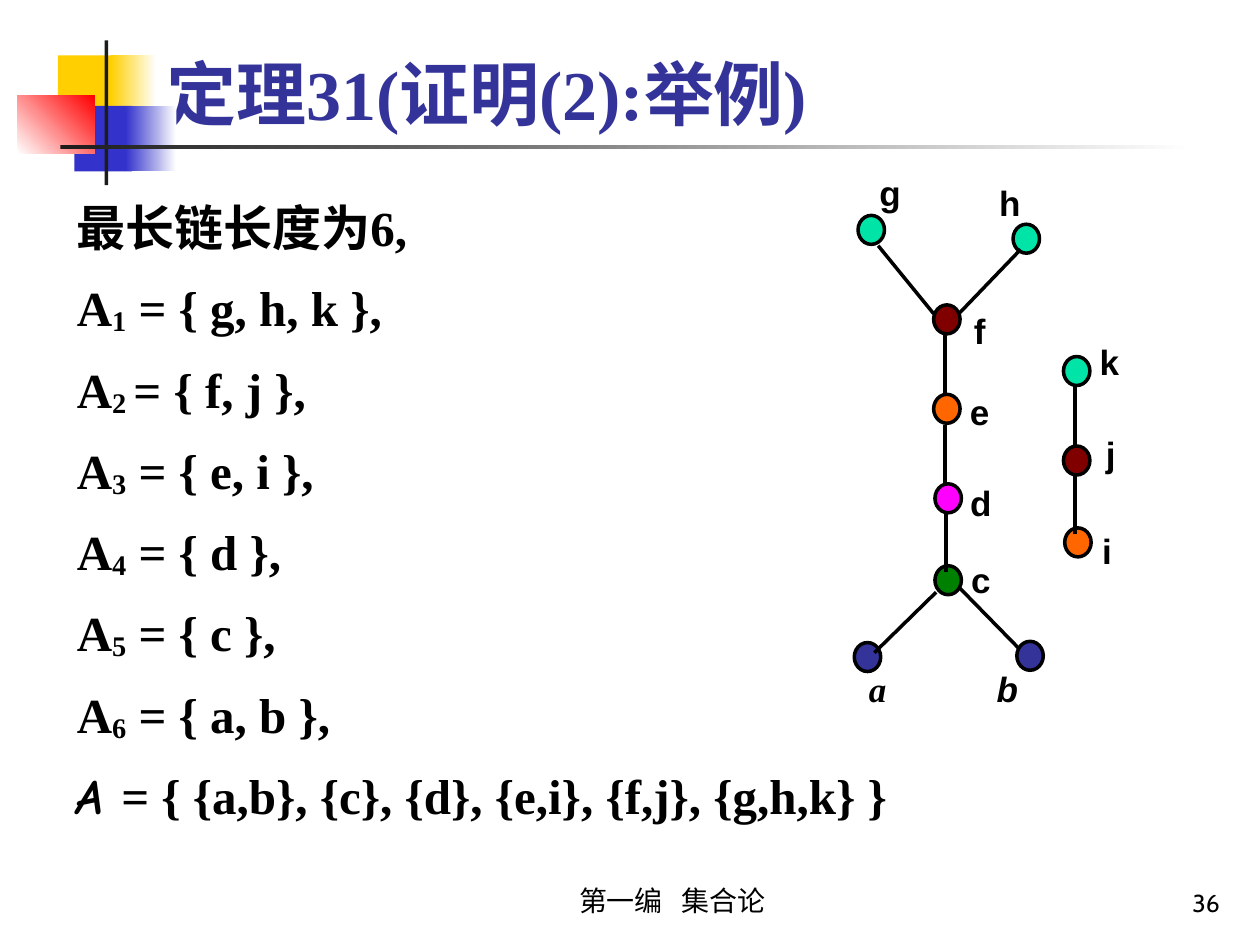
from dataclasses import dataclass

from lxml import etree
from pptx import Presentation
from pptx import util as u
from pptx.dml.color import RGBColor
from pptx.enum import shapes, text
from pptx.oxml.ns import qn


@dataclass(frozen=True)
class Theme:
    serif: str = "Times New Roman"
    sans: str = "Arial"
    script: str = "Comic Neue"
    number: str = "Cabin"
    title_size: int = 40
    body_size: int = 28
    label_size: int = 20
    footer_size: int = 16
    number_size: int = 14
    black: str = "000000"
    white: str = "FFFFFF"
    ink: str = "1C1C1C"
    yellow: str = "FFCF01"
    blue: str = "3333CC"
    red: str = "FF0000"
    navy: str = "333399"
    mint: str = "00E4A8"
    maroon: str = "800000"
    orange: str = "FF6600"
    magenta: str = "FF00FF"
    green: str = "008000"


T = Theme()

TITLE = "定理31(证明(2):举例)"
FOOTER = "第一编   集合论"
PAGE = "36"
OPENING = "最长链长度为6,"
LEVELS = [("1", " = { g, h, k },"), ("2 ", "= { f, j },"), ("3", " = { e, i },"),
          ("4", " = { d },"), ("5", " = { c },"), ("6", " = { a, b },")]
PARTITION = "= { {a,b}, {c}, {d}, {e,i}, {f,j}, {g,h,k} }"

ORNAMENTS = [
    ((0.46, 0.44, 0.48, 0.52), (T.yellow,), 0),
    ((0.88, 0.44, 0.36, 0.52), (T.yellow, T.white), 0),
    ((0.59, 0.84, 0.46, 0.52), (T.blue,), 0),
    ((1.0, 0.84, 0.4, 0.52), (T.blue, T.white), 0),
    ((0.14, 0.76, 0.61, 0.46), (T.white, T.red), 45),
    ((0.83, 0.32, 0.03, 1.15), (T.ink,), 0),
    ((0.48, 1.15, 9, 0.03), (T.ink, T.white), 0),
]

NODE_SIZE = (0.21, 0.23)
LABEL_SIZE = (0.41, 0.31)
NODES = {
    "g": ((6.81, 1.71), T.mint, (6.86, 1.31)),
    "h": ((8.04, 1.78), T.mint, (7.81, 1.39)),
    "f": ((7.41, 2.42), T.maroon, (7.57, 2.41)),
    "e": ((7.41, 3.13), T.orange, (7.57, 3.05)),
    "d": ((7.42, 3.84), T.magenta, (7.58, 3.77)),
    "c": ((7.42, 4.49), T.green, (7.58, 4.38)),
    "a": ((6.78, 5.1), T.navy, (6.76, 5.25)),
    "b": ((8.07, 5.09), T.navy, (7.79, 5.25)),
    "k": ((8.44, 2.83), T.mint, (8.6, 2.65)),
    "j": ((8.44, 3.54), T.maroon, (8.61, 3.38)),
    "i": ((8.45, 4.19), T.orange, (8.58, 4.15)),
}
MINIMAL = ("a", "b")
UPPER_ENDS = "fedkj"
DROP = (0.09, 0.24, 0.46)
BRANCHES = [((6.97, 1.95), (7.41, 2.49)), ((8.1, 1.98), (7.61, 2.49)),
            ((7.43, 4.7), (6.94, 5.18)), ((7.62, 4.67), (8.09, 5.15))]


def inches(values):
    return [u.Inches(value) for value in values]


def style(run, size, face, color=T.black, bold=False, italic=False):
    font = run.font
    font.size, font.name, font.bold, font.italic = u.Pt(size), face, bold, italic
    font.color.rgb = RGBColor.from_string(color)


def place(holder, box):
    holder.left, holder.top, holder.width, holder.height = inches(box)
    frame = holder.text_frame
    frame.word_wrap, frame.auto_size = True, text.MSO_AUTO_SIZE.NONE
    return frame


def add_text(slide, box, words, align, anchor, **look):
    frame = place(slide.shapes.add_textbox(0, 0, 0, 0), box)
    frame.text, frame.vertical_anchor = words, anchor
    frame.paragraphs[0].alignment = align
    style(frame.paragraphs[0].runs[0], **look)


def add_ornament(slide, box, colors, angle):
    block = slide.shapes.add_shape(shapes.MSO_SHAPE.RECTANGLE, *inches(box))
    block.shadow.inherit = False
    block.line.fill.background()
    if len(colors) == 1:
        block.fill.solid()
        block.fill.fore_color.rgb = RGBColor.from_string(colors[0])
        return
    block.fill.gradient()
    block.fill.gradient_angle = angle
    for stop, color, position in zip(block.fill.gradient_stops, colors, (0, 1)):
        stop.color.rgb = RGBColor.from_string(color)
        stop.position = position


def add_node(slide, corner, color):
    node = slide.shapes.add_shape(shapes.MSO_SHAPE.OVAL, *inches(corner + NODE_SIZE))
    node.shadow.inherit = False
    node.fill.solid()
    node.fill.fore_color.rgb = RGBColor.from_string(color)
    node.line.color.rgb = RGBColor.from_string(T.black)
    node.line.width = u.Pt(2)


def add_edge(slide, start, end):
    edge = slide.shapes.add_connector(shapes.MSO_CONNECTOR.STRAIGHT, *inches(start + end))
    edge.line.color.rgb = RGBColor.from_string(T.black)
    edge.line.width = u.Pt(2)
    etree.SubElement(edge._element.spPr, qn("a:effectLst"))


def fill_title(holder):
    frame = place(holder, (1.22, 0.28, 8.52, 0.84))
    frame.text, frame.vertical_anchor = TITLE, text.MSO_ANCHOR.BOTTOM
    frame.paragraphs[0].alignment = text.PP_ALIGN.LEFT
    style(frame.paragraphs[0].runs[0], T.title_size, T.serif, T.navy, bold=True)


def fill_body(holder):
    frame = place(holder, (0.51, 1.47, 9.13, 5.43))
    frame.vertical_anchor = text.MSO_ANCHOR.TOP
    lines = [[OPENING], *(["A", index, members] for index, members in LEVELS),
             ["A ", PARTITION]]
    for row, parts in enumerate(lines):
        line = frame.add_paragraph() if row else frame.paragraphs[0]
        properties = line._p.get_or_add_pPr()
        properties.set("marL", str(u.Inches(0.38)))
        properties.set("indent", str(-u.Inches(0.38)))
        etree.SubElement(properties, qn("a:buNone"))
        line.line_spacing = 1.1
        line.space_before = u.Pt(9 if row else 0)
        for column, part in enumerate(parts):
            run = line.add_run()
            run.text = part
            family = len(parts) == 2 and column == 0
            style(run, T.body_size, T.script if family else T.serif, bold=True, italic=family)
            if len(parts) == 3 and column == 1:
                run.font._element.set("baseline", "-10000")


def draw_diagram(slide):
    for corner, color, _ in NODES.values():
        add_node(slide, corner, color)
    inset, below, length = DROP
    for name in UPPER_ENDS:
        left, top = NODES[name][0]
        x, y = left + inset, top + below
        add_edge(slide, (x, y), (x, y + length))
    for start, end in BRANCHES:
        add_edge(slide, start, end)
    for name, (_, _, corner) in NODES.items():
        add_text(slide, corner + LABEL_SIZE, name, text.PP_ALIGN.CENTER, text.MSO_ANCHOR.TOP,
                 size=T.label_size, face=T.serif if name == "a" else T.sans,
                 bold=True, italic=name in MINIMAL)


def main():
    deck = Presentation()
    deck.slide_width, deck.slide_height = inches((10, 7.5))
    slide = deck.slides.add_slide(deck.slide_layouts[1])
    for ornament in ORNAMENTS:
        add_ornament(slide, *ornament)
    fill_title(slide.shapes.title)
    fill_body(slide.placeholders[1])
    draw_diagram(slide)
    add_text(slide, (3.75, 6.83, 3.17, 0.5), FOOTER, text.PP_ALIGN.CENTER,
             text.MSO_ANCHOR.BOTTOM, size=T.footer_size, face=T.serif)
    add_text(slide, (7.7, 6.83, 2.08, 0.5), PAGE, text.PP_ALIGN.RIGHT,
             text.MSO_ANCHOR.BOTTOM, size=T.number_size, face=T.number)
    deck.save("out.pptx")


if __name__ == "__main__":
    main()
